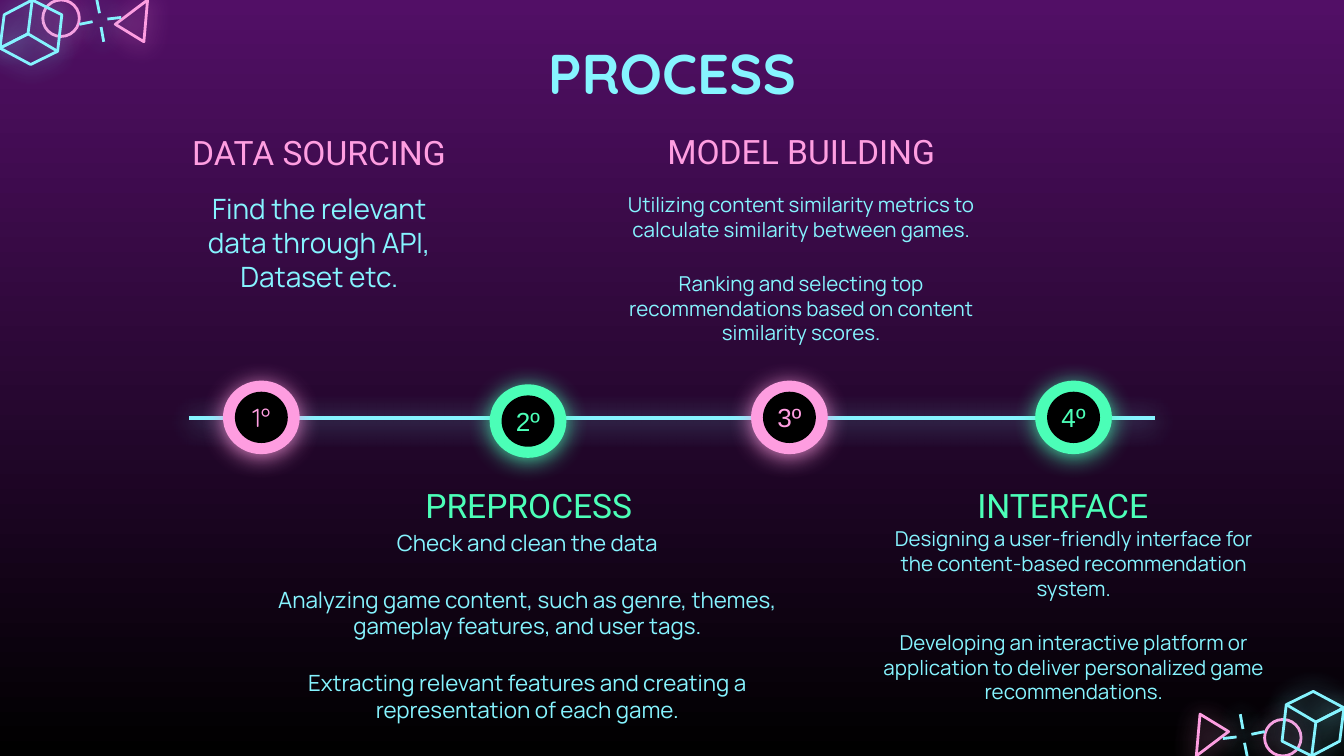
from lxml.etree import SubElement
from pptx import Presentation
from pptx.dml.color import RGBColor
from pptx.enum.shapes import MSO_CONNECTOR as Connector, MSO_SHAPE as Shape
from pptx.enum.text import MSO_ANCHOR as Anchor, MSO_AUTO_SIZE as AutoSize, PP_ALIGN as Align
from pptx.oxml.ns import qn
from pptx.util import Cm, Pt

WIDTH, HEIGHT = 25.4, 14.29

THEME = {
    "cyan": "86F4FF", "pink": "FF9EE1", "green": "4CFFB8",
    "purple": "520F66", "black": "000000",
    "title_font": "Quicksand", "heading_font": "Roboto", "body_font": "Manrope",
    "title_size": 30, "heading_size": 18, "number_size": 14,
    "outline": 1.5, "timeline": 2.25,
    "glow_blur": 13.5, "glow_distance": 1.5, "glow_alpha": 76,
}

TITLE = ("PROCESS", (0, 0.86, WIDTH, 0.99))
TIMELINE = (3.58, 7.9, 21.82, 7.9)
RING_SIZE, CORE_SIZE = (1.45, 1.39), (1.0, 0.97)

STEPS = [
    {"number": "1º", "font": "Quicksand", "color": "pink", "center": (4.94, 7.89),
     "heading": "DATA SOURCING", "heading_box": (3.2, 2.36, 5.66, 1.04),
     "body": ["Find the relevant data through API, Dataset etc."],
     "body_box": (3.48, 3.38, 5.11, 1.55), "size": 15},
    {"number": "2º", "font": "Arial", "color": "green", "center": (9.98, 7.96),
     "heading": "PREPROCESS", "heading_box": (7.44, 9.02, 5.11, 1.04),
     "body": ["Check and clean the data",
              "Analyzing game content, such as genre, themes, gameplay features, and user tags.",
              "Extracting relevant features and creating a representation of each game."],
     "body_box": (4.42, 9.75, 11.1, 1.55), "size": 12},
    {"number": "3º", "font": "Arial", "color": "pink", "center": (14.92, 7.89),
     "heading": "MODEL BUILDING", "heading_box": (12.01, 2.34, 6.27, 1.04),
     "body": ["Utilizing content similarity metrics to calculate similarity between games.",
              "Ranking and selecting top recommendations based on content similarity scores."],
     "body_box": (11.4, 3.38, 7.49, 1.55), "size": 11},
    {"number": "4º", "font": "Arial", "color": "green", "center": (20.29, 7.89),
     "heading": "INTERFACE", "heading_box": (17.53, 9.02, 5.11, 1.04),
     "body": ["Designing a user-friendly interface for the content-based recommendation system.",
              "Developing an interactive platform or application to deliver personalized game "
              "recommendations."],
     "body_box": (16.36, 9.7, 7.87, 1.55), "size": 11},
]

ORNAMENT_CIRCLE = (0.81, 0, 0.69)
ORNAMENT_OUTLINES = [
    ("pink", True, [(2.79, 0), (2.18, 0.46), (2.72, 0.79)]),
    ("cyan", True, [(0.08, 0.28), (0, 0.91), (0.53, 0.64), (0.61, 0)]),
    ("cyan", True, [(0.58, 1.22), (0, 0.91), (0.53, 0.64), (1.09, 0.97)]),
    ("cyan", False, [(1.09, 0.97), (1.17, 0.28), (0.61, 0)]),
]
ORNAMENT_RAYS = [
    (2.29, 0.33, 2.03, 0.36), (1.75, 0.41, 1.5, 0.46),
    (1.96, 0.79, 1.91, 0.51), (1.88, 0.25, 1.83, 0),
]


def rgb(name):
    return RGBColor.from_string(THEME[name])


def lengths(values):
    return [Cm(value) for value in values]


def add_glow(shape, color, distance=THEME["glow_distance"]):
    effects = SubElement(shape._element.spPr, qn("a:effectLst"))
    shadow = SubElement(effects, qn("a:outerShdw"), {
        "blurRad": str(Pt(THEME["glow_blur"])), "dist": str(Pt(distance)),
        "dir": "5400000", "algn": "bl", "rotWithShape": "0"})
    tint = SubElement(shadow, qn("a:srgbClr"), val=THEME[color])
    SubElement(tint, qn("a:alpha"), val=str(THEME["glow_alpha"] * 1000))


def write(shape, paragraphs, *, font, size, color, bold=False, anchor=Anchor.MIDDLE,
          space_after=0, inset=0.25, wrap=True):
    frame = shape.text_frame
    frame.word_wrap = wrap
    frame.auto_size = AutoSize.NONE
    frame.vertical_anchor = anchor
    frame.margin_left = frame.margin_right = Cm(inset)
    frame.margin_top = frame.margin_bottom = Cm(inset)
    for index, text in enumerate(paragraphs):
        paragraph = frame.add_paragraph() if index else frame.paragraphs[0]
        paragraph.alignment = Align.CENTER
        paragraph.space_before = Pt(0)
        paragraph.space_after = Pt(space_after)
        run = paragraph.add_run()
        run.text = text
        run.font.name = font
        run.font.size = Pt(size)
        run.font.bold = bold
        run.font.color.rgb = rgb(color)


def add_text(slide, box, paragraphs, **style):
    write(slide.shapes.add_textbox(*lengths(box)), paragraphs, **style)


def add_line(slide, ends, width, distance):
    line = slide.shapes.add_connector(Connector.STRAIGHT, *lengths(ends))
    line.line.color.rgb = rgb("cyan")
    line.line.width = Pt(width)
    add_glow(line, "cyan", distance)


def outline(shape, color, distance):
    shape.fill.background()
    shape.line.color.rgb = rgb(color)
    shape.line.width = Pt(THEME["outline"])
    add_glow(shape, color, distance)


def add_ornament(slide, turned):
    def place(x, y):
        return lengths((WIDTH - x, HEIGHT - y) if turned else (x, y))

    left, top, size = ORNAMENT_CIRCLE
    corner = place(left + size, top + size) if turned else place(left, top)
    circle = slide.shapes.add_shape(Shape.OVAL, *corner, Cm(size), Cm(size))
    outline(circle, "pink", THEME["glow_distance"])
    for color, closed, points in ORNAMENT_OUTLINES:
        start, *rest = [place(*point) for point in points]
        builder = slide.shapes.build_freeform(*start)
        builder.add_line_segments(rest, close=closed)
        outline(builder.convert_to_shape(), color,
                THEME["glow_distance"] if color == "pink" else 0)
    for x1, y1, x2, y2 in ORNAMENT_RAYS:
        ends = (WIDTH - x1, HEIGHT - y1, WIDTH - x2, HEIGHT - y2) if turned else (x1, y1, x2, y2)
        add_line(slide, ends, THEME["outline"], 0)


def add_disc(slide, center, size, fill, glow):
    left, top = (middle - extent / 2 for middle, extent in zip(center, size))
    disc = slide.shapes.add_shape(Shape.OVAL, *lengths((left, top, *size)))
    disc.fill.solid()
    disc.fill.fore_color.rgb = rgb(fill)
    disc.line.fill.background()
    add_glow(disc, glow)
    return disc


def add_step(slide, step):
    color = step["color"]
    add_text(slide, step["body_box"], step["body"], font=THEME["body_font"], size=step["size"],
             color="cyan", anchor=Anchor.TOP, space_after=16)
    add_text(slide, step["heading_box"], [step["heading"]], font=THEME["heading_font"],
             size=THEME["heading_size"], color=color)
    add_disc(slide, step["center"], RING_SIZE, color, color)
    core = add_disc(slide, step["center"], CORE_SIZE, "black", color)
    write(core, [step["number"]], font=step["font"], size=THEME["number_size"], color=color,
          inset=0, wrap=False)


def main():
    presentation = Presentation()
    presentation.slide_width, presentation.slide_height = lengths((WIDTH, HEIGHT))
    slide = presentation.slides.add_slide(presentation.slide_layouts[5])
    background = slide.background.fill
    background.gradient()
    background.gradient_angle = 270
    for stop, position, color in zip(background.gradient_stops, (0, 1), ("purple", "black")):
        stop.position = position
        stop.color.rgb = rgb(color)

    for turned in (False, True):
        add_ornament(slide, turned)
    add_line(slide, TIMELINE, THEME["timeline"], THEME["glow_distance"])

    text, box = TITLE
    title = slide.shapes.title
    title.left, title.top, title.width, title.height = lengths(box)
    write(title, [text], font=THEME["title_font"], size=THEME["title_size"], color="cyan",
          bold=True)
    for step in STEPS:
        add_step(slide, step)
    presentation.save("out.pptx")


if __name__ == "__main__":
    main()
